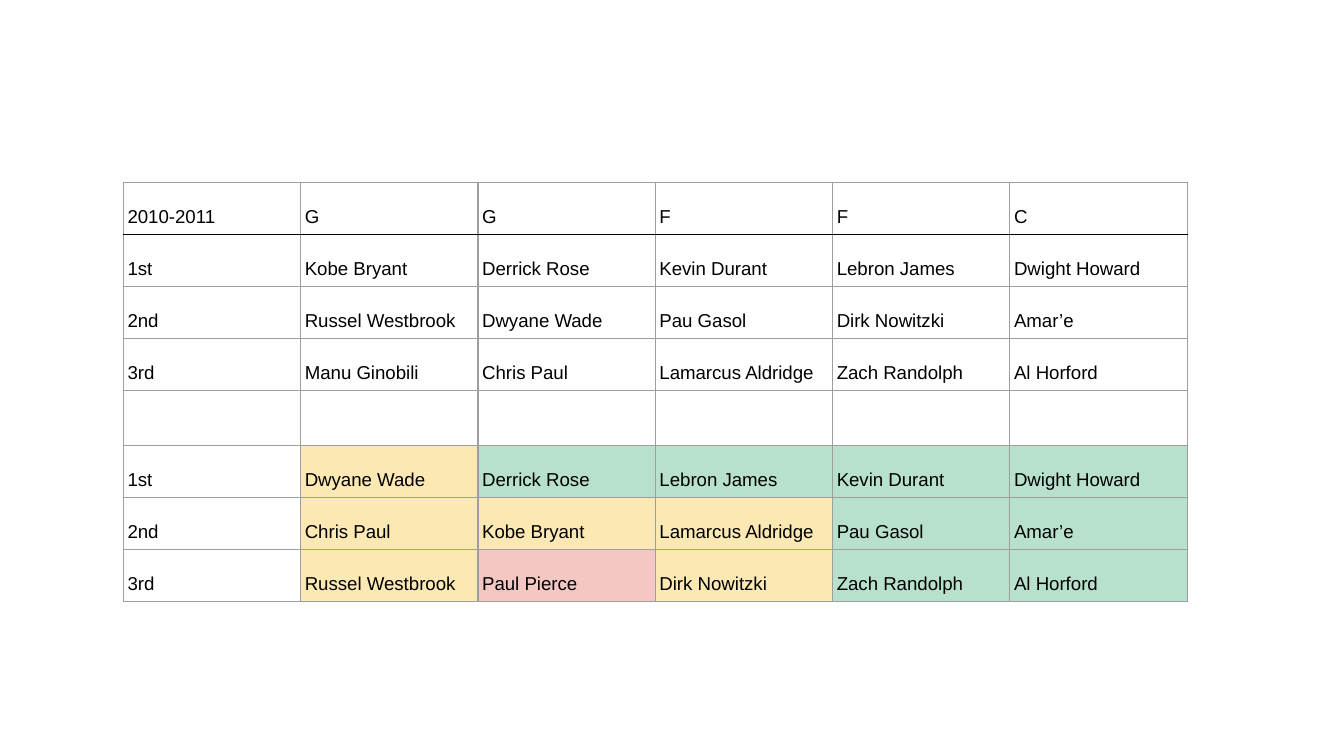
import pptx
import pptx.dml.color
import pptx.enum.text
import pptx.oxml
import pptx.oxml.ns
import pptx.util

Cm = pptx.util.Cm
Pt = pptx.util.Pt
RGB = pptx.dml.color.RGBColor.from_string

COLORS = {
    "text": "000000",
    "header_rule": "000000",
    "grid": "9E9E9E",
    "same": "B7E1CD",
    "moved": "FCE8B2",
    "new": "F4C7C3",
}
CELL_FORMAT = {
    "margin_left": Cm(0.08),
    "margin_right": Cm(0.08),
    "margin_top": Cm(0.13),
    "margin_bottom": Cm(0.13),
    "vertical_anchor": pptx.enum.text.MSO_ANCHOR.BOTTOM,
}
FONT_FORMAT = {"name": "Arial", "size": Pt(10), "bold": False}

TEAMS = [
    ["2010-2011", "G", "G", "F", "F", "C"],
    ["1st", "Kobe Bryant", "Derrick Rose", "Kevin Durant", "Lebron James", "Dwight Howard"],
    ["2nd", "Russel Westbrook", "Dwyane Wade", "Pau Gasol", "Dirk Nowitzki", "Amar’e"],
    ["3rd", "Manu Ginobili", "Chris Paul", "Lamarcus Aldridge", "Zach Randolph", "Al Horford"],
    [""] * 6,
    ["1st", "Dwyane Wade", "Derrick Rose", "Lebron James", "Kevin Durant", "Dwight Howard"],
    ["2nd", "Chris Paul", "Kobe Bryant", "Lamarcus Aldridge", "Pau Gasol", "Amar’e"],
    ["3rd", "Russel Westbrook", "Paul Pierce", "Dirk Nowitzki", "Zach Randolph", "Al Horford"],
]
# Fills of the player cells, by row
MATCHES = {
    5: ["moved", "same", "same", "same", "same"],
    6: ["moved", "moved", "moved", "same", "same"],
    7: ["moved", "new", "moved", "same", "same"],
}
GAP_ROW = 4
GAP_HEIGHT = Cm(1.04)


def set_format(target, values):
    for name, value in values.items():
        setattr(target, name, value)


def add_border(cell, side, color):
    properties = cell._tc.get_or_add_tcPr()
    properties.append(pptx.oxml.parse_xml(
        f'<a:ln{side} {pptx.oxml.ns.nsdecls("a")} w="{Pt(0.75)}">'
        f'<a:solidFill><a:srgbClr val="{color}"/></a:solidFill></a:ln{side}>'))


def fill_cell(cell, text, fill, rules):
    set_format(cell, CELL_FORMAT)
    # Borders come before the fill in the cell properties
    for side, color in rules.items():
        add_border(cell, side, COLORS[color])
    if fill:
        cell.fill.solid()
        cell.fill.fore_color.rgb = RGB(COLORS[fill])
    else:
        cell.fill.background()
    if text:
        para = cell.text_frame.paragraphs[0]
        para.line_spacing = 1.15
        span = para.add_run()
        span.text = text
        set_format(span.font, FONT_FORMAT)
        span.font.color.rgb = RGB(COLORS["text"])


def add_team_table(page, left, top, width, height):
    row_count, column_count = len(TEAMS), len(TEAMS[0])
    table = page.shapes.add_table(
        row_count, column_count, left, top, width, height).table
    set_format(table, {"first_row": False, "horz_banding": False})

    # Equal rows, apart from the gap between the two rankings
    for index, row in enumerate(table.rows):
        row.height = (GAP_HEIGHT if index == GAP_ROW
                      else int((height - GAP_HEIGHT) / (row_count - 1)))

    for row, names in enumerate(TEAMS):
        fills = [None] + MATCHES.get(row, [None] * (column_count - 1))
        rules = {
            "L": "grid",
            "R": "grid",
            "T": "header_rule" if row == 1 else "grid",
            "B": "header_rule" if row == 0 else "grid",
        }
        for column, (name, fill) in enumerate(zip(names, fills)):
            fill_cell(table.cell(row, column), name, fill, rules)


def main():
    deck = pptx.Presentation()
    set_format(deck, {"slide_width": Cm(25.4), "slide_height": Cm(14.29)})
    page = deck.slides.add_slide(deck.slide_layouts[6])
    add_team_table(page, Cm(2.33), Cm(3.45), Cm(20.11), Cm(7.92))
    deck.save("out.pptx")


if __name__ == "__main__":
    main()
